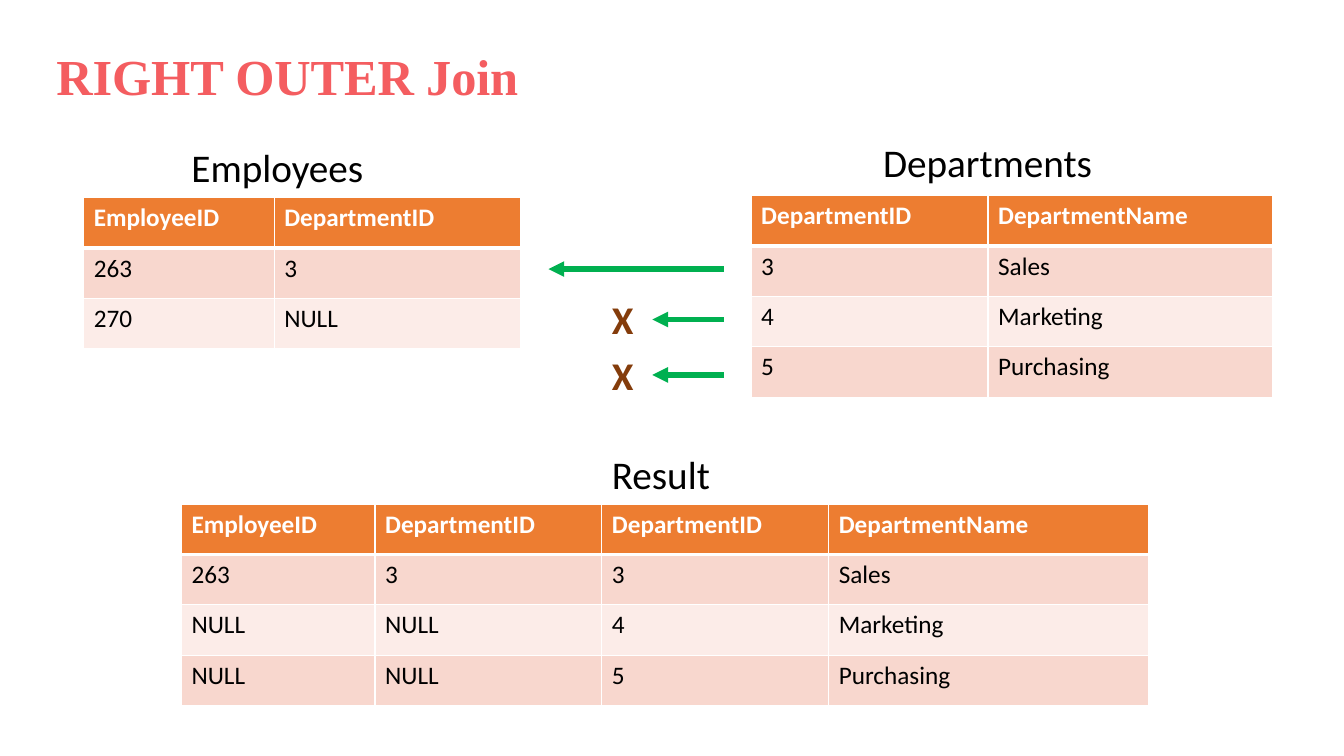
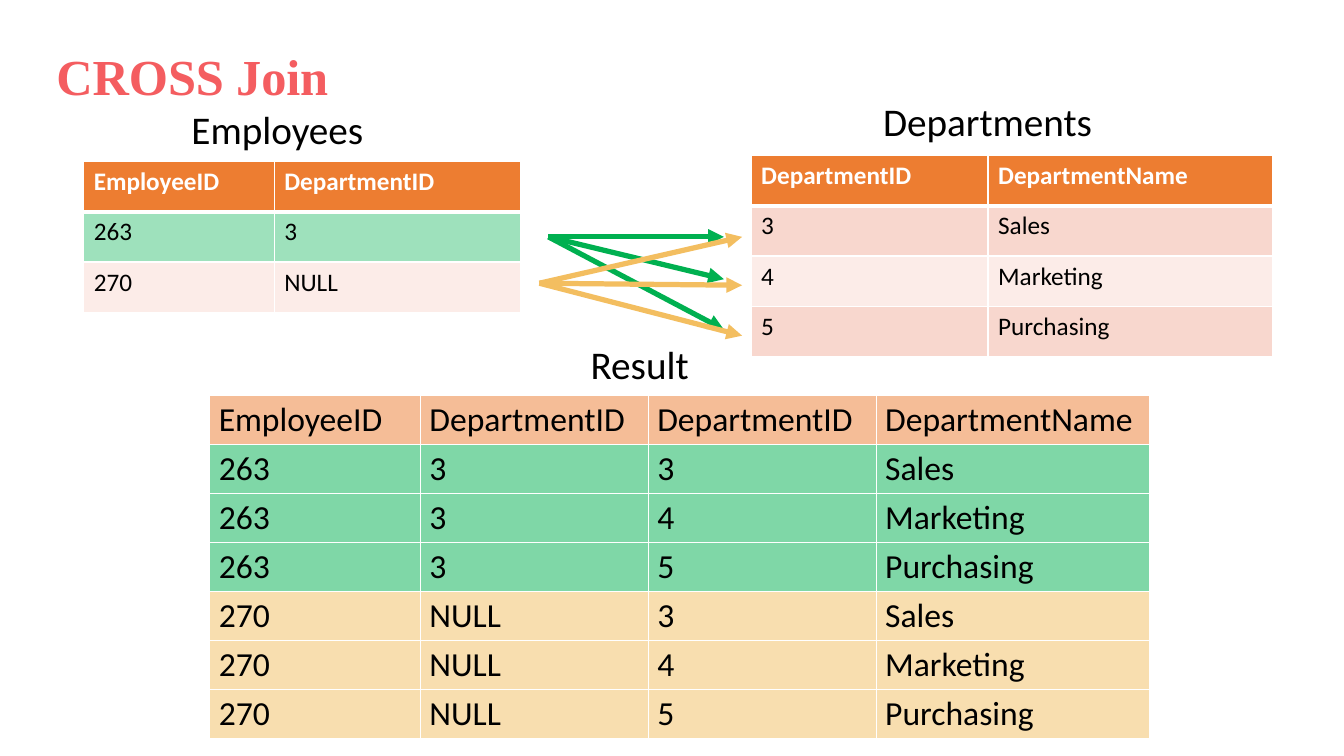
from dataclasses import dataclass

from pptx import Presentation
from pptx.dml.color import RGBColor as RGB
from pptx.enum.shapes import MSO_CONNECTOR as Link
from pptx.enum.text import MSO_ANCHOR as Anchor, MSO_AUTO_SIZE as Fit, PP_ALIGN as Align
from pptx.oxml import parse_xml
from pptx.oxml.ns import nsdecls, qn
from pptx.util import Inches, Pt


@dataclass(frozen=True)
class Theme:
    font: str = "Calibri"
    serif: str = "Times New Roman"
    title: str = "F45D60"
    ink: str = "000000"
    white: str = "FFFFFF"
    head: str = "ED7D31"
    bands: tuple = ("F8D7CE", "FCECE8")
    mint: str = "9EE1BC"
    green: str = "00B050"
    gold: str = "F3BE60"
    cross: str = "843C0B"
    big: int = 36
    label: int = 28
    large: int = 24
    cell: int = 18
    stroke: float = 3.75


T = Theme()
WIDE, HIGH, ROW = 13.33, 7.5, 0.5

# Content
EMP_HEAD = ("EmployeeID", "DepartmentID")
DEP_HEAD = ("DepartmentID", "DepartmentName")
EMPS = [("263", "3"), ("270", "NULL")]
DEPS = [("3", "Sales"), ("4", "Marketing"), ("5", "Purchasing")]
NONE = ("NULL", "NULL")
MATCH = {dep: emp for emp in EMPS for dep in DEPS if emp[1] == dep[0]}
RIGHT = [MATCH.get(dep, NONE) + dep for dep in DEPS]
CROSS = [emp + dep for emp in EMPS for dep in DEPS]

EMP_COLS, DEP_COLS = (1.89, 2.44), (2.35, 2.82)

SLIDES = [
    dict(
        title="RIGHT OUTER Join",
        tables=[
            dict(at=(0.83, 1.96), cols=EMP_COLS, head=EMP_HEAD, rows=EMPS),
            dict(at=(7.45, 1.94), cols=DEP_COLS, head=DEP_HEAD, rows=DEPS),
            dict(at=(1.8, 5), cols=(1.92, 2.25, 2.25, 3.17),
                 head=EMP_HEAD + DEP_HEAD, rows=RIGHT),
        ],
        labels=[("Employees", 1.8, 1.37, 1.92), ("Departments", 8.66, 1.32, 2.3),
                ("Result", 5.97, 4.42, 1.19)],
        marks=[("X", 5.97, y, 0.42) for y in (2.88, 3.44)],
        arrows=[((7.18, y), (x, y), T.green)
                for x, y in ((5.44, 2.67), (6.47, 3.17), (6.47, 3.72))],
    ),
    dict(
        title="CROSS Join",
        tables=[
            dict(at=(0.83, 1.6), cols=EMP_COLS, head=EMP_HEAD, rows=EMPS,
                 fills=(T.mint, T.bands[1])),
            dict(at=(7.45, 1.54), cols=DEP_COLS, head=DEP_HEAD, rows=DEPS),
            dict(at=(2.08, 3.92), cols=(2.09, 2.26, 2.26, 2.71),
                 head=EMP_HEAD + DEP_HEAD, rows=CROSS, row=3.4 / 7,
                 fills=[T.green] * len(DEPS) + [T.gold] * len(DEPS), soft=True),
        ],
        labels=[("Employees", 1.8, 1, 1.92), ("Departments", 8.66, 0.92, 2.3),
                ("Result", 5.76, 3.33, 1.19)],
        marks=[],
        arrows=[((5.44, 2.35), (7.18, y), T.green) for y in (2.35, 2.77, 3.27)]
        + [((5.35, 2.81), (7.36, y), T.gold) for y in (2.35, 2.83, 3.33)],
    ),
]


def write(frame, text, size=T.cell, color=T.ink, bold=False, font=T.font, space=None):
    part = frame.paragraphs[0]
    run = part.add_run()
    run.text = text
    face = run.font
    face.name, face.size, face.bold = font, Pt(size), bold
    face.color.rgb = RGB.from_string(color)
    if space is not None:
        run._r.get_or_add_rPr().set("spc", str(space))


def label(slide, text, x, y, width, **form):
    box = slide.shapes.add_textbox(*map(Inches, (x, y, width, 0.57)))
    box.text_frame.word_wrap = False
    box.text_frame.auto_size = Fit.SHAPE_TO_FIT_TEXT
    write(box.text_frame, text, size=T.label, **form)


def paint(cell, color, top, base, alpha=None):
    """Give a cell its white borders and its fill, see-through if alpha is set."""
    props = cell._tc.get_or_add_tcPr()
    for side, width in (("L", 1), ("R", 1), ("T", top), ("B", base)):
        props.append(parse_xml(
            f'<a:ln{side} {nsdecls("a")} w="{Pt(width)}"><a:solidFill>'
            f'<a:srgbClr val="{T.white}"/></a:solidFill></a:ln{side}>'))
    cell.fill.solid()
    cell.fill.fore_color.rgb = RGB.from_string(color)
    if alpha:
        tint = props.find(qn("a:solidFill"))[0]
        tint.append(parse_xml(f'<a:alpha {nsdecls("a")} val="{alpha * 1000}"/>'))


def grid(slide, at, cols, head, rows, row=ROW, fills=None, soft=False):
    """Draw a table; a soft one has large plain text on half-clear fills."""
    lines = [head, *rows]
    fills = fills or [T.bands[i % 2] for i in range(len(rows))]
    size = (sum(cols), row * len(lines))
    table = slide.shapes.add_table(
        len(lines), len(cols), *map(Inches, at + size)).table
    for col, width in zip(table.columns, cols):
        col.width = Inches(width)
    rule = 1 if soft else 3
    for i, (line, fill) in enumerate(zip(lines, [T.head, *fills])):
        table.rows[i].height = Inches(row)
        strong = i == 0 and not soft
        for j, text in enumerate(line):
            cell = table.cell(i, j)
            if soft:
                cell.margin_left = cell.margin_right = Inches(0.09)
                cell.margin_top = cell.margin_bottom = Inches(0.04)
            paint(cell, fill, rule if i == 1 else 1, rule if i == 0 else 1,
                  alpha=50 if soft else None)
            write(cell.text_frame, text, size=T.large if soft else T.cell,
                  color=T.white if strong else T.ink, bold=strong)


def arrow(slide, start, end, color):
    link = slide.shapes.add_connector(Link.STRAIGHT, *map(Inches, start + end))
    link.line.color.rgb = RGB.from_string(color)
    link.line.width = Pt(T.stroke)
    link.line._get_or_add_ln().append(
        parse_xml(f'<a:tailEnd {nsdecls("a")} type="triangle"/>'))
    link._element.spPr.append(parse_xml(f'<a:effectLst {nsdecls("a")}/>'))


def build(deck, layout, plan):
    slide = deck.slides.add_slide(layout)
    frame = slide.shapes.title.text_frame
    frame.vertical_anchor = Anchor.TOP
    frame.auto_size = Fit.NONE
    frame.paragraphs[0].alignment = Align.LEFT
    write(frame, plan["title"], size=T.big, color=T.title, bold=True,
          font=T.serif, space=-10)
    for table in plan["tables"]:
        grid(slide, **table)
    for item in plan["labels"]:
        label(slide, *item)
    for item in plan["marks"]:
        label(slide, *item, color=T.cross, bold=True)
    for item in plan["arrows"]:
        arrow(slide, *item)


def main():
    deck = Presentation()
    deck.slide_width, deck.slide_height = Inches(WIDE), Inches(HIGH)
    layout = deck.slide_layouts.get_by_name("Title Only")
    title = layout.placeholders[0]
    title.left, title.top, title.width, title.height = map(
        Inches, (0.46, 0.4, 6.68, 0.71))
    for plan in SLIDES:
        build(deck, layout, plan)
    deck.save("out.pptx")


if __name__ == "__main__":
    main()
